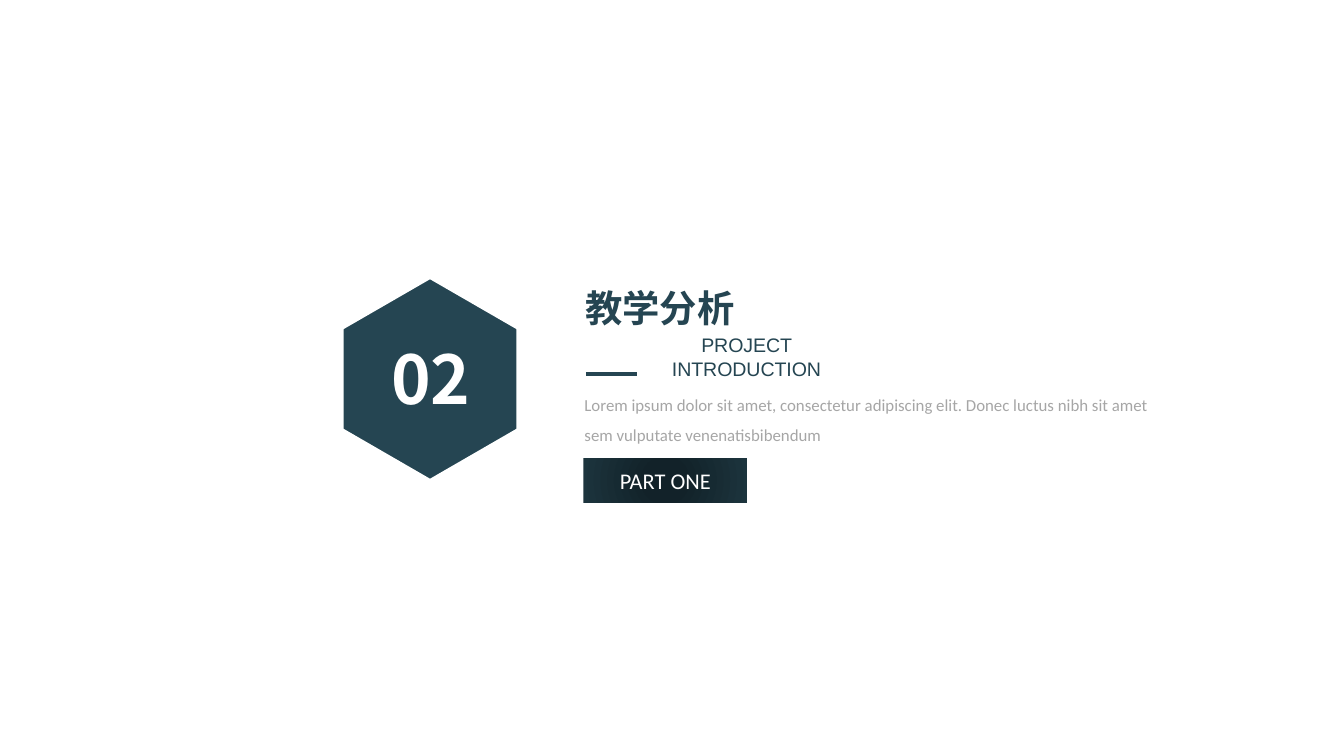
from math import cos, radians, sin

from lxml.etree import SubElement
from pptx import Presentation
from pptx.dml.color import RGBColor
from pptx.enum.shapes import MSO_CONNECTOR as CONN, MSO_SHAPE as SHAPE
from pptx.enum.text import MSO_ANCHOR as ANCHOR, MSO_AUTO_SIZE as AUTO, PP_ALIGN as ALIGN
from pptx.oxml import parse_xml
from pptx.oxml.ns import nsdecls, qn
from pptx.util import Inches, Pt

COLORS = {"teal": "254552", "white": "FFFFFF", "gray": "A6A6A6",
          "glow": "122229", "edge": "1C343D"}
LEFT = 4.25  # left edge of the text column


def rgb(name):
    return RGBColor.from_string(COLORS[name])


def place(s, left, top, width, height):
    s.left, s.top, s.width, s.height = map(Inches, (left, top, width, height))


def write(s, text, size, color, font="Calibri", bold=False,
          align=ALIGN.CENTER, anchor=ANCHOR.TOP, wrap=True, spacing=1):
    tf = s.text_frame
    tf.word_wrap, tf.vertical_anchor = wrap, anchor
    p = tf.paragraphs[0]
    p.alignment, p.line_spacing = align, spacing
    r = p.add_run()
    r.text = text
    r.font.name, r.font.size, r.font.bold = font, Pt(size), bold
    r.font.color.rgb = rgb(color)


def add_text(shapes, box, text, size, color, **style):
    s = shapes.add_textbox(*map(Inches, box))
    write(s, text, size, color, **style)
    s.text_frame.auto_size = AUTO.SHAPE_TO_FIT_TEXT


def add_title(slide, box, text):
    s = slide.shapes.title
    place(s, *box)
    write(s, text, 20, "teal", bold=True, wrap=False)
    s.text_frame.auto_size = AUTO.SHAPE_TO_FIT_TEXT


def add_hexagon(shapes, x, y, radius):
    """Regular hexagon with a corner at the top, centred on x, y."""
    corners = [(Inches(x + radius * cos(radians(a))), Inches(y + radius * sin(radians(a))))
               for a in range(90, 450, 60)]
    builder = shapes.build_freeform(*corners[0])
    builder.add_line_segments(corners[1:], close=True)
    s = builder.convert_to_shape()
    s.shadow.inherit = False
    s.fill.solid()
    s.fill.fore_color.rgb = rgb("teal")
    s.line.color.rgb, s.line.width = rgb("white"), Pt(2.25)


def add_number_badge(slide, number):
    group = slide.shapes.add_group_shape()
    add_hexagon(group.shapes, 3.2, 2.82, 0.76)
    add_text(group.shapes, (2.7, 2.46, 1.01, 0.71), number, 36, "white",
             font="Noto Sans CJK JP", bold=True)


def add_rule(slide, left, right, y):
    s = slide.shapes.add_connector(CONN.STRAIGHT, *map(Inches, (left, y, right, y)))
    s.line.color.rgb, s.line.width = rgb("teal"), Pt(2.25)
    SubElement(s._element.spPr, qn("a:effectLst"))


def fill_radial(s, inner, outer):
    s.fill.background()
    no_fill = s._element.spPr.find(qn("a:noFill"))
    stops = "".join(f'<a:gs pos="{pos}"><a:srgbClr val="{COLORS[name]}"/></a:gs>'
                    for pos, name in ((21000, inner), (100000, outer)))
    no_fill.getparent().replace(no_fill, parse_xml(
        f'<a:gradFill {nsdecls("a")}><a:gsLst>{stops}</a:gsLst><a:path path="circle">'
        '<a:fillToRect l="50000" t="50000" r="50000" b="50000"/></a:path></a:gradFill>'))


def add_button(slide, box, text):
    s = slide.shapes.add_shape(SHAPE.RECTANGLE, *map(Inches, box))
    s.shadow.inherit = False
    fill_radial(s, "glow", "edge")
    s.line.fill.background()
    write(s, text, 12, "white", anchor=ANCHOR.MIDDLE)


def main():
    prs = Presentation()
    prs.slide_width = Inches(10)
    prs.slide_height = prs.slide_width * 9 // 16
    slide = prs.slides.add_slide(prs.slide_layouts[5])
    add_number_badge(slide, "02")
    add_title(slide, (LEFT, 2.07, 1.32, 0.44), "教学分析")
    add_text(slide.shapes, (4.64, 2.43, 1.83, 0.28), "PROJECT INTRODUCTION",
             10.5, "teal", font="Arial")
    add_rule(slide, 4.36, 4.74, 2.78)
    add_text(slide.shapes, (LEFT, 2.81, 4.51, 0.53),
             "Lorem ipsum dolor sit amet, consectetur adipiscing elit. Donec luctus "
             "nibh sit amet sem vulputate venenatisbibendum",
             9, "gray", align=ALIGN.LEFT, spacing=1.5)
    add_button(slide, (4.34, 3.41, 1.22, 0.33), "PART ONE")
    prs.save("out.pptx")


if __name__ == "__main__":
    main()
